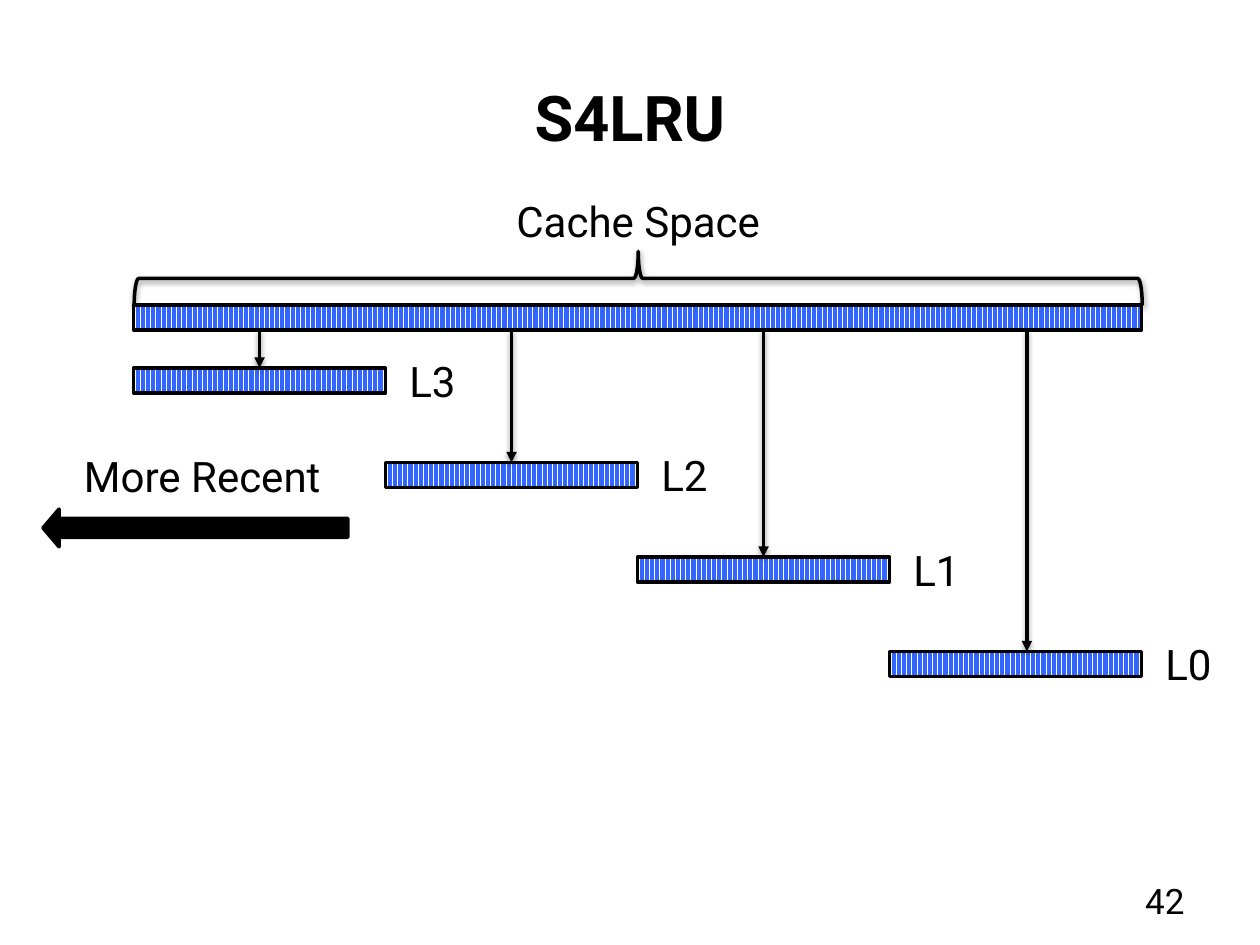
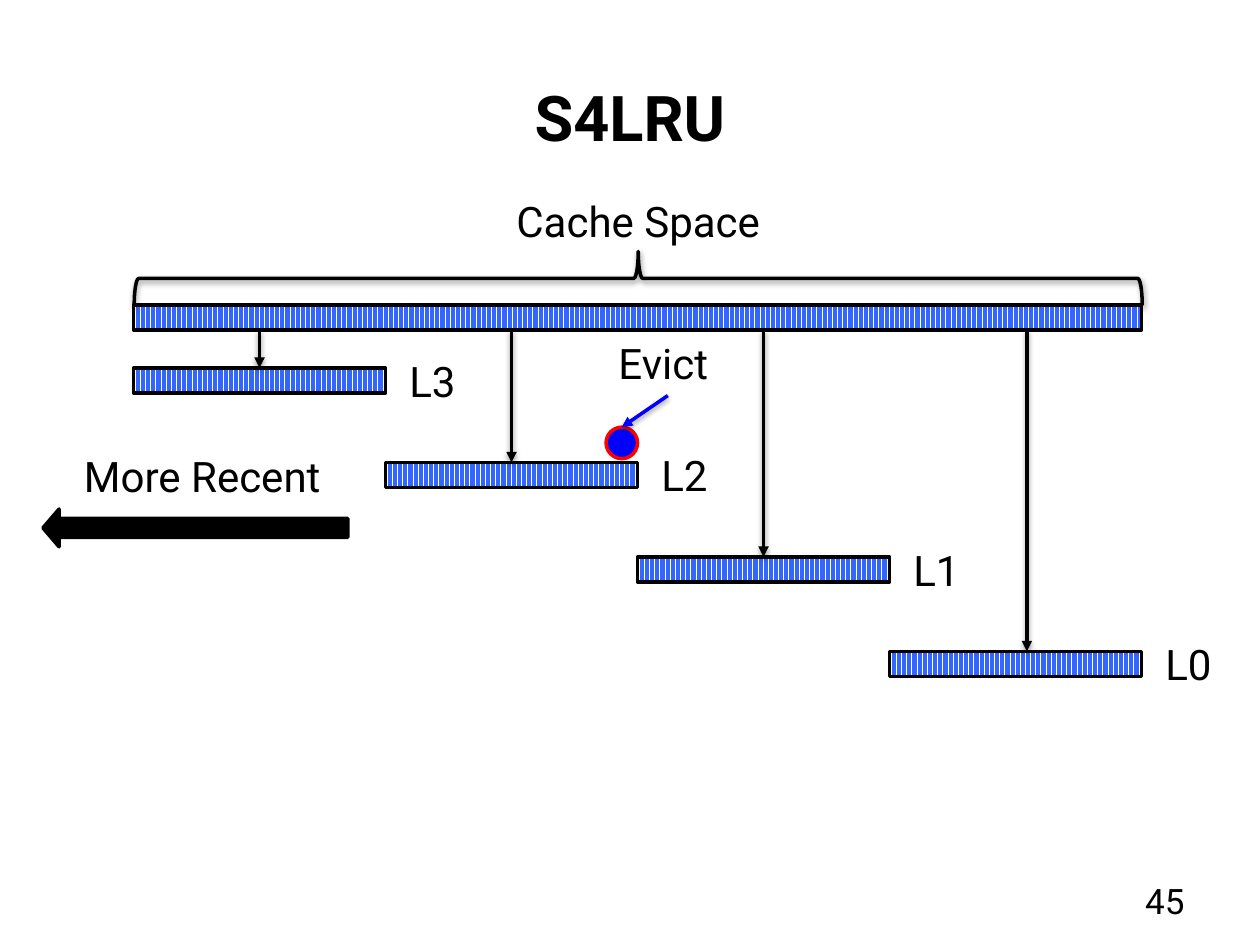
from dataclasses import dataclass

from lxml.etree import SubElement
from pptx import Presentation
from pptx.dml.color import RGBColor
from pptx.enum.dml import MSO_PATTERN_TYPE as Pattern
from pptx.enum.shapes import MSO_CONNECTOR as Connector, MSO_SHAPE as Shape
from pptx.enum.text import MSO_ANCHOR as Anchor, MSO_AUTO_SIZE as AutoSize, PP_ALIGN as Align
from pptx.oxml.ns import qn
from pptx.util import Emu, Pt

EMU_PER_PX = 9144
FONT = "Roboto"
BLACK, WHITE = "000000", "FFFFFF"
STRIPE, BLUE, RED = "3366FF", "0000FF", "FF0000"
LINE_WIDTH = 2

CACHE_LEFT, CACHE_TOP, CACHE_WIDTH = 106, 242, 800
BAR_HEIGHT = 20
CACHE_BOTTOM = CACHE_TOP + BAR_HEIGHT
LEVEL_TOP, LEVEL_STEP = 292, 75


@dataclass(frozen=True)
class Box:
    left: int
    top: int
    width: int
    height: int


@dataclass(frozen=True)
class Label:
    text: str
    box: Box
    align: Align = Align.LEFT
    size: int = 24
    bold: bool = False
    fitted: bool = True


@dataclass(frozen=True)
class Level:
    name: str
    label_width: int
    arrow_shift: int = 0


@dataclass(frozen=True)
class Page:
    number: str
    evicts: bool


TITLE = Label("S4LRU", Box(50, 30, 900, 125), Align.CENTER, 36, True, False)
CACHE_SPACE = Label("Cache Space", Box(369, 150, 275, 50), Align.CENTER)
MORE_RECENT = Label("More Recent", Box(34, 353, 253, 50), Align.CENTER)
EVICT = Label("Evict", Box(481, 263, 98, 50))
NUMBER_BOX = Box(717, 695, 233, 40)

LEVELS = [Level("L3", 67), Level("L2", 83), Level("L1", 70), Level("L0", 64, 9)]
LEVEL_WIDTH = CACHE_WIDTH // len(LEVELS)
PAGES = [Page("42", False), Page("45", True)]


def px(length: int) -> Emu:
    return Emu(length * EMU_PER_PX)


def color(code: str) -> RGBColor:
    return RGBColor.from_string(code)


def place(box: Box) -> list[Emu]:
    return [px(n) for n in (box.left, box.top, box.width, box.height)]


def add_label(slide, label: Label) -> None:
    frame = slide.shapes.add_textbox(*place(label.box)).text_frame
    frame.text = label.text
    frame.word_wrap = True
    if label.fitted:
        frame.auto_size = AutoSize.SHAPE_TO_FIT_TEXT
    else:
        frame.vertical_anchor = Anchor.MIDDLE
    paragraph = frame.paragraphs[0]
    paragraph.alignment = label.align
    font = paragraph.runs[0].font
    font.name, font.size, font.bold = FONT, Pt(label.size), label.bold
    font.color.rgb = color(BLACK)


def set_line(shape, code: str) -> None:
    shape.line.color.rgb = color(code)
    shape.line.width = Pt(LINE_WIDTH)


def add_shadow(effects) -> None:
    shadow = SubElement(effects, qn("a:outerShdw"), blurRad=str(Pt(3.1)),
                        dist=str(Pt(1.6)), dir="5400000", rotWithShape="0")
    tint = SubElement(shadow, qn("a:srgbClr"), val=BLACK)
    SubElement(tint, qn("a:alpha"), val="38000")


def add_outline(slide, kind: Shape, box: Box, line: str = BLACK, fill: str | None = None):
    shape = slide.shapes.add_shape(kind, *place(box))
    shape.shadow.inherit = False
    set_line(shape, line)
    if fill:
        shape.fill.solid()
        shape.fill.fore_color.rgb = color(fill)
    else:
        shape.fill.background()
    return shape


def add_bar(slide, left: int, top: int, width: int):
    bar = add_outline(slide, Shape.RECTANGLE, Box(left, top, width, BAR_HEIGHT))
    bar.fill.patterned()
    bar.fill.pattern = Pattern.DARK_VERTICAL
    bar.fill.fore_color.rgb = color(STRIPE)
    bar.fill.back_color.rgb = color(WHITE)
    return bar


def add_arrow(slide, start: tuple[int, int], end: tuple[int, int], code: str = BLACK):
    points = [px(n) for n in (*start, *end)]
    arrow = slide.shapes.add_connector(Connector.STRAIGHT, *points)
    set_line(arrow, code)
    properties = arrow.element.spPr
    SubElement(properties.find(qn("a:ln")), qn("a:tailEnd"), type="triangle")
    add_shadow(SubElement(properties, qn("a:effectLst")))
    return arrow


def add_cache(slide) -> None:
    add_bar(slide, CACHE_LEFT, CACHE_TOP, CACHE_WIDTH)
    add_label(slide, CACHE_SPACE)
    brace = add_outline(slide, Shape.LEFT_BRACE, Box(485, -179, 43, CACHE_WIDTH))
    brace.rotation = 90
    add_shadow(brace.element.spPr.find(qn("a:effectLst")))


def add_level(slide, index: int, level: Level) -> None:
    left = CACHE_LEFT + index * LEVEL_WIDTH
    top = LEVEL_TOP + index * LEVEL_STEP
    bar = add_bar(slide, left, top, LEVEL_WIDTH)
    name_box = Box(left + LEVEL_WIDTH + 9, top - 15, level.label_width, 50)
    add_label(slide, Label(level.name, name_box))
    arrow_x = left + LEVEL_WIDTH // 2 + level.arrow_shift
    arrow = add_arrow(slide, (arrow_x, CACHE_BOTTOM), (arrow_x, top))
    if not level.arrow_shift:
        arrow.end_connect(bar, 0)


def add_recency(slide) -> None:
    recency = add_outline(slide, Shape.LEFT_ARROW, Box(34, 404, 242, 30), fill=BLACK)
    recency.adjustments[0] = 0.5
    recency.adjustments[1] = 0.43
    add_label(slide, MORE_RECENT)


def add_eviction(slide) -> None:
    item = add_outline(slide, Shape.OVAL, Box(481, 339, 25, 25), RED, BLUE)
    add_arrow(slide, (530, 314), (494, 339), BLUE).end_connect(item, 0)
    add_label(slide, EVICT)


def add_page(deck, page: Page) -> None:
    slide = deck.slides.add_slide(deck.slide_layouts[6])
    add_label(slide, TITLE)
    add_cache(slide)
    for index, level in enumerate(LEVELS):
        add_level(slide, index, level)
    if page.evicts:
        add_eviction(slide)
    add_recency(slide)
    add_label(slide, Label(page.number, NUMBER_BOX, Align.RIGHT, 20, fitted=False))


def main() -> None:
    deck = Presentation()
    deck.slide_width, deck.slide_height = px(1000), px(750)
    for page in PAGES:
        add_page(deck, page)
    deck.save("out.pptx")


if __name__ == "__main__":
    main()
